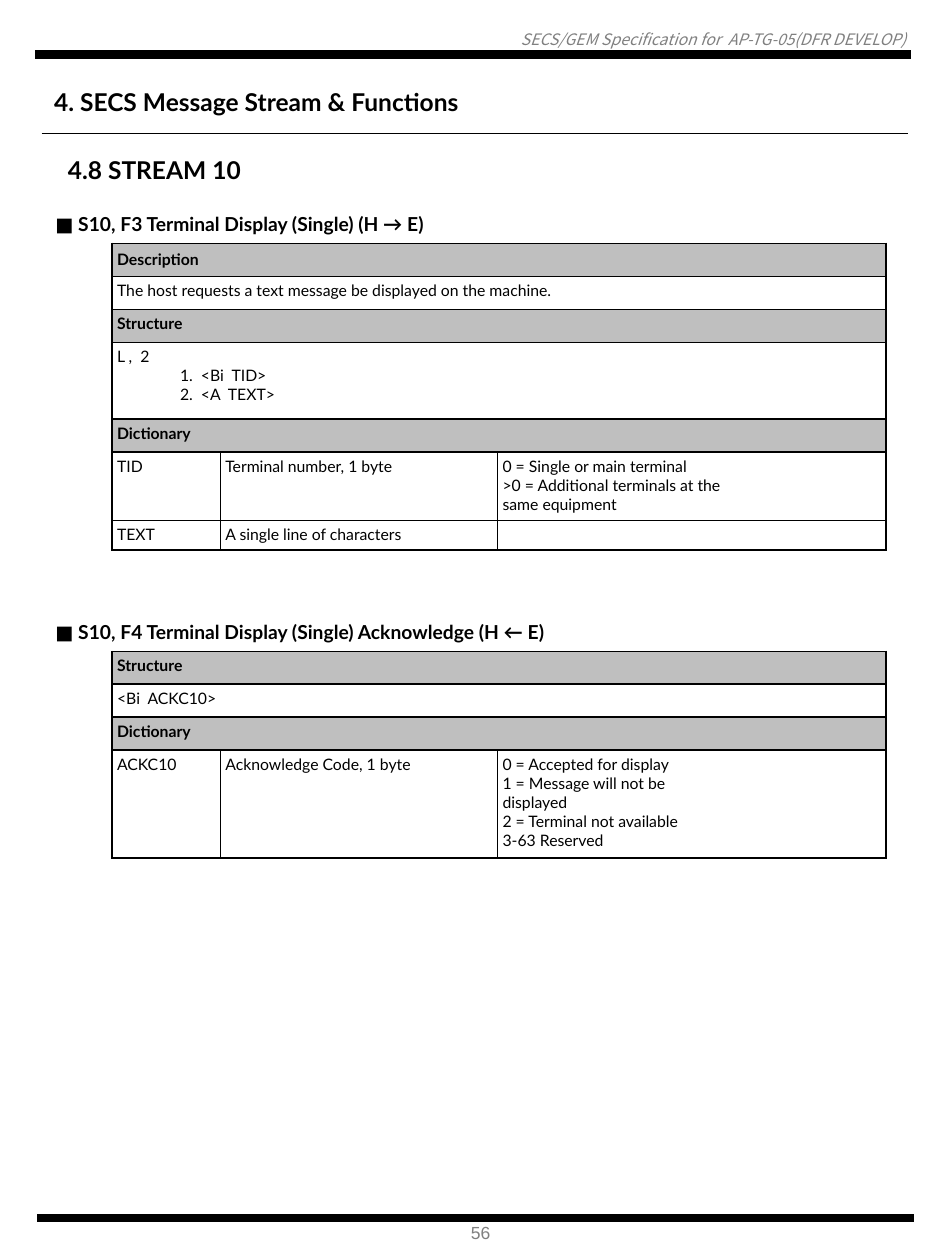
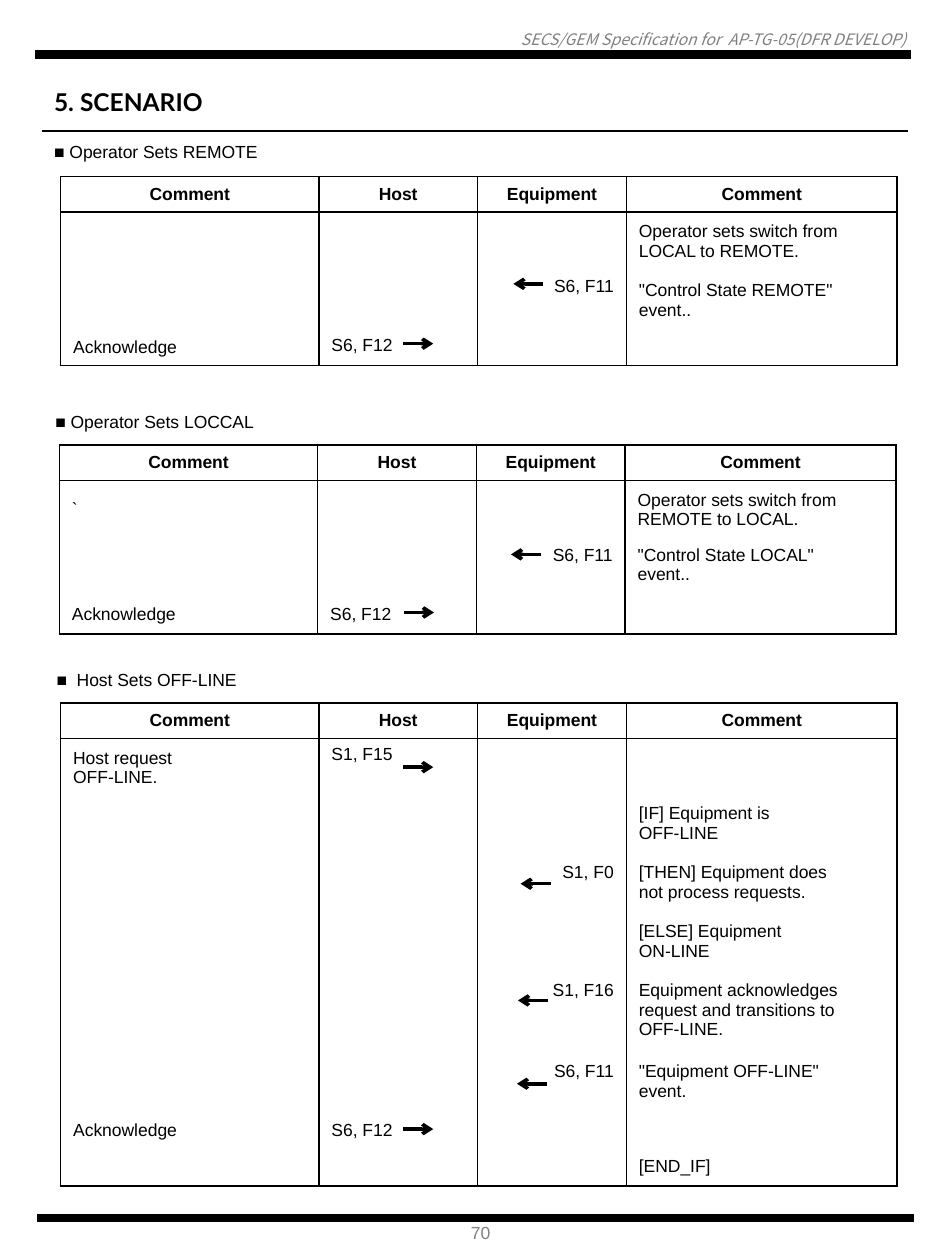
from lxml import etree
from pptx import Presentation
from pptx.dml.color import RGBColor
from pptx.enum.shapes import MSO_CONNECTOR
from pptx.enum.text import MSO_ANCHOR, MSO_AUTO_SIZE, PP_ALIGN
from pptx.oxml.ns import qn
from pptx.util import Pt

LEFT, CENTER, RIGHT = PP_ALIGN.LEFT, PP_ALIGN.CENTER, PP_ALIGN.RIGHT
TOP, MIDDLE = MSO_ANCHOR.TOP, MSO_ANCHOR.MIDDLE
STRAIGHT = MSO_CONNECTOR.STRAIGHT
FIT = MSO_AUTO_SIZE.SHAPE_TO_FIT_TEXT
BLACK, WHITE, GRAY, BAND = "000000", "FFFFFF", "808080", "BFBFBF"
NO_GRID = "{2D5ABB26-0587-4C30-8999-92F81FD0307C}"
SIDES = {"l": "lnL", "r": "lnR", "t": "lnT", "b": "lnB"}

TITLE = dict(size=14, name="Lato", bold=True)
HEADING = dict(size=11, name="Lato", bold=True)
BAND_TEXT = dict(size=9, name="Lato", bold=True)
ENTRY = dict(size=9, name="Lato")
CAPTION = dict(size=10, name="Arial")
COLUMN_HEAD = dict(size=10, name="Arial", bold=True)
RUNNING = dict(size=9, name="Noto Sans CJK KR", italic=True, color=GRAY)
PAGE_NUMBER = dict(size=10, name="Arial", color=GRAY)

RUNNING_HEAD = "SECS/GEM Specification for  AP-TG-05(DFR DEVELOP)"

MESSAGE_COLUMNS = [35.3, 61.9, 158.4, 221.8]
MESSAGES = [
    (117.4, [
        ("heading", 21.6, ["■ S10, F3 Terminal Display (Single) (H → E)"]),
        ("band", 18.9, ["Description"]),
        ("wide", 18.9, ["The host requests a text message be displayed on the machine."]),
        ("band", 18.9, ["Structure"]),
        ("wide", 43.8, ["L ,  2\n\t1.  <Bi  TID>\n\t2.  <A  TEXT>"]),
        ("band", 18.9, ["Dictionary"]),
        ("entry", 39, ["TID", "Terminal number, 1 byte",
                       "0 = Single or main terminal\n>0 = Additional terminals at the\nsame equipment"]),
        ("entry", 17, ["TEXT", "A single line of characters", ""]),
    ]),
    (350.6, [
        ("heading", 21.6, ["■ S10, F4 Terminal Display (Single) Acknowledge (H ← E)"]),
        ("band", 18.8, ["Structure"]),
        ("wide", 18.8, ["<Bi  ACKC10>"]),
        ("band", 18.8, ["Dictionary"]),
        ("entry", 61.6, ["ACKC10", "Acknowledge Code, 1 byte",
                         "0 = Accepted for display\n1 = Message will not be\ndisplayed\n"
                         "2 = Terminal not available\n3-63 Reserved"]),
    ]),
]

SCENARIO_COLUMNS = [147.6, 90.7, 85, 154.8]
SCENARIO_HEADS = ["Comment", "Host", "Equipment", "Comment"]
ONE_LINE, TWO_LINES, THREE_LINES = 20.3, 33.7, 46.6
SHORT_ROWS = [ONE_LINE, TWO_LINES, TWO_LINES, ONE_LINE]
SCENARIOS = [
    dict(caption=("■ Operator Sets REMOTE", 23.8, 77), at=(34.6, 100.8), rows=SHORT_ROWS,
         middle={(1, 3), (2, 3), (3, 0)},
         cells={(1, 3): "Operator sets switch from\nLOCAL to REMOTE.",
                (2, 2): "S6, F11", (2, 3): '"Control State REMOTE"\nevent..',
                (3, 0): "Acknowledge", (3, 1): "S6, F12"}),
    dict(caption=("■ Operator Sets LOCCAL", 24.5, 231.1), at=(33.9, 254.2), rows=SHORT_ROWS,
         middle={(1, 0), (1, 3)},
         cells={(1, 0): "`", (1, 3): "Operator sets switch from\nREMOTE to LOCAL.",
                (2, 2): "S6, F11", (2, 3): '"Control State LOCAL"\nevent..',
                (3, 0): "Acknowledge", (3, 1): "S6, F12"}),
    dict(caption=("■  Host Sets OFF-LINE", 25.2, 378.7), at=(34.6, 401.8),
         rows=[ONE_LINE] + [TWO_LINES] * 4 + [THREE_LINES, TWO_LINES, ONE_LINE, ONE_LINE],
         middle={(1, 0)},
         cells={(1, 0): "Host request\nOFF-LINE.", (1, 1): "S1, F15",
                (2, 3): "[IF] Equipment is\nOFF-LINE",
                (3, 2): "S1, F0", (3, 3): "[THEN] Equipment does\nnot process requests.",
                (4, 3): "[ELSE] Equipment\nON-LINE",
                (5, 2): "S1, F16",
                (5, 3): "Equipment acknowledges\nrequest and transitions to\nOFF-LINE.",
                (6, 2): "S6, F11", (6, 3): '"Equipment OFF-LINE"\nevent.',
                (7, 0): "Acknowledge", (7, 1): "S6, F12", (8, 3): "[END_IF]"}),
]
ARROW_LENGTH = 17.1
HOST_ARROWS = [(230.5, 196.4), (230.9, 350), (230.5, 438.4), (230.5, 645.2)]
EQUIPMENT_ARROWS = [(310.5, 162.2), (309.1, 316.8), (314.6, 505), (313.1, 571.7), (312.5, 619.3)]


def rgb(color):
    return RGBColor.from_string(color)


def write(tf, text, style, align=LEFT):
    for i, line in enumerate(text.split("\n")):
        p = tf.paragraphs[0] if i == 0 else tf.add_paragraph()
        p.alignment = align
        if not line:
            etree.SubElement(p._p, qn("a:endParaRPr"), sz=str(style["size"] * 100))
            continue
        r = p.add_run()
        r.text = line
        formats = dict(bold=False, color=BLACK) | style
        r.font.color.rgb = rgb(formats.pop("color"))
        formats["size"] = Pt(formats["size"])
        for key, value in formats.items():
            setattr(r.font, key, value)


def add_text(s, text, box, style, align=LEFT, wrap=False, inset=None):
    tf = s.shapes.add_textbox(*map(Pt, box)).text_frame
    tf.word_wrap = wrap
    tf.auto_size = FIT
    if inset is not None:
        set_insets(tf, inset)
    write(tf, text, style, align)


def set_insets(target, inset):
    for side in ("left", "right", "top", "bottom"):
        setattr(target, "margin_" + side, Pt(inset))


def add_line(s, x1, x2, y, width, arrow=False):
    line = s.shapes.add_connector(STRAIGHT, Pt(x1), Pt(y), Pt(x2), Pt(y))
    line.line.color.rgb = rgb(BLACK)
    line.line.width = Pt(width)
    if arrow:
        etree.SubElement(line.line._get_or_add_ln(), qn("a:tailEnd"), type="arrow")
    etree.SubElement(line._element.spPr, qn("a:effectLst"))


def set_borders(cell, colors):
    tc_pr = cell._tc.get_or_add_tcPr()
    for i, (side, tag) in enumerate(SIDES.items()):
        color = colors.get(side)
        width = Pt(0.75 if color == WHITE else 1)
        ln = etree.Element(qn("a:" + tag), w=str(int(width)))
        if color:
            fill = etree.SubElement(ln, qn("a:solidFill"))
            etree.SubElement(fill, qn("a:srgbClr"), val=color)
        else:
            etree.SubElement(ln, qn("a:noFill"))
        tc_pr.insert(i, ln)


def add_grid(s, left, top, columns, rows):
    frame = s.shapes.add_table(len(rows), len(columns), Pt(left), Pt(top),
                               Pt(sum(columns)), Pt(sum(rows)))
    table = frame.table
    table.first_row = table.horz_banding = False
    table._tbl.tblPr.find(qn("a:tableStyleId")).text = NO_GRID
    for column, width in zip(table.columns, columns):
        column.width = Pt(width)
    for row, height in zip(table.rows, rows):
        row.height = Pt(height)
    return table


def add_message(s, top, rows):
    table = add_grid(s, 28.8, top, MESSAGE_COLUMNS, [height for _, height, _ in rows])
    last = len(MESSAGE_COLUMNS) - 1
    for i, (kind, _, texts) in enumerate(rows):
        heading, band = kind == "heading", kind == "band"
        style = HEADING if heading else BAND_TEXT if band else ENTRY
        texts = texts if heading else [""] + texts
        texts = texts + [""] * (last + 1 - len(texts))
        for j, text in enumerate(texts):
            cell = table.cell(i, j)
            set_insets(cell, 2.83)
            cell.vertical_anchor = MIDDLE if heading or i == 1 and rows[1][2] == ["Description"] else TOP
            write(cell.text_frame, text, style)
            if band and j:
                cell.fill.solid()
                cell.fill.fore_color.rgb = rgb(BAND)
            else:
                cell.fill.background()
            if heading:
                colors = dict.fromkeys("lrt", WHITE) | {"b": BLACK if j else WHITE}
            elif j == 0:
                colors = dict.fromkeys("ltb", WHITE) | {"r": BLACK}
            else:
                colors = dict.fromkeys("lrtb", BLACK)
            set_borders(cell, colors)
        if kind != "entry":
            table.cell(i, 0 if heading else 1).merge(table.cell(i, last))
    dictionary = [texts for _, _, texts in rows].index(["Dictionary"])
    table.cell(dictionary, 0).merge(table.cell(len(rows) - 1, 0))


def add_scenario(s, caption, at, rows, middle, cells):
    text, left, top = caption
    add_text(s, text, (left, top, 461, 19.4), CAPTION, wrap=True)
    table = add_grid(s, *at, SCENARIO_COLUMNS, rows)
    for i in range(len(rows)):
        for j, head in enumerate(SCENARIO_HEADS):
            cell = table.cell(i, j)
            cell.fill.background()
            cell.vertical_anchor = MIDDLE if i == 0 or (i, j) in middle else TOP
            if i == 0:
                write(cell.text_frame, head, COLUMN_HEAD, CENTER)
            else:
                write(cell.text_frame, cells.get((i, j), ""), CAPTION, RIGHT if j == 2 else LEFT)
            sides = "lr" + "t" * (i < 2) + "b" * (i in (0, len(rows) - 1))
            set_borders(cell, dict.fromkeys(sides, BLACK))


def add_page(prs, number, title, title_width, rule_y):
    s = prs.slides.add_slide(prs.slide_layouts[6])
    add_text(s, RUNNING_HEAD, (3.6, 17.3, 514, 10.8), RUNNING, RIGHT, wrap=True, inset=0)
    add_line(s, 20.2, 520.6, 31.2, 4.75)
    add_line(s, 21.2, 522, 696.2, 4.75)
    add_text(s, number, (262, 694.8, 26.6, 19.4), PAGE_NUMBER)
    add_text(s, title, (23.8, 46.1, title_width, 24.5), TITLE)
    add_line(s, 23.8, 519.1, rule_y, 0.75)
    return s


def main():
    prs = Presentation()
    prs.slide_width, prs.slide_height = Pt(540), Pt(720)

    s = add_page(prs, "56", "4. SECS Message Stream & Functions", 278, 76.3)
    add_text(s, "4.8 STREAM 10", (31.7, 85, 122.4, 24.5), TITLE)
    for top, rows in MESSAGES:
        add_message(s, top, rows)

    s = add_page(prs, "70", "5. SCENARIO", 108, 74.9)
    for scenario in SCENARIOS:
        add_scenario(s, **scenario)
    for arrows, length in ((HOST_ARROWS, ARROW_LENGTH), (EQUIPMENT_ARROWS, -ARROW_LENGTH)):
        for x, y in arrows:
            add_line(s, x, x + length, y, 2, arrow=True)

    prs.save("out.pptx")


if __name__ == "__main__":
    main()
